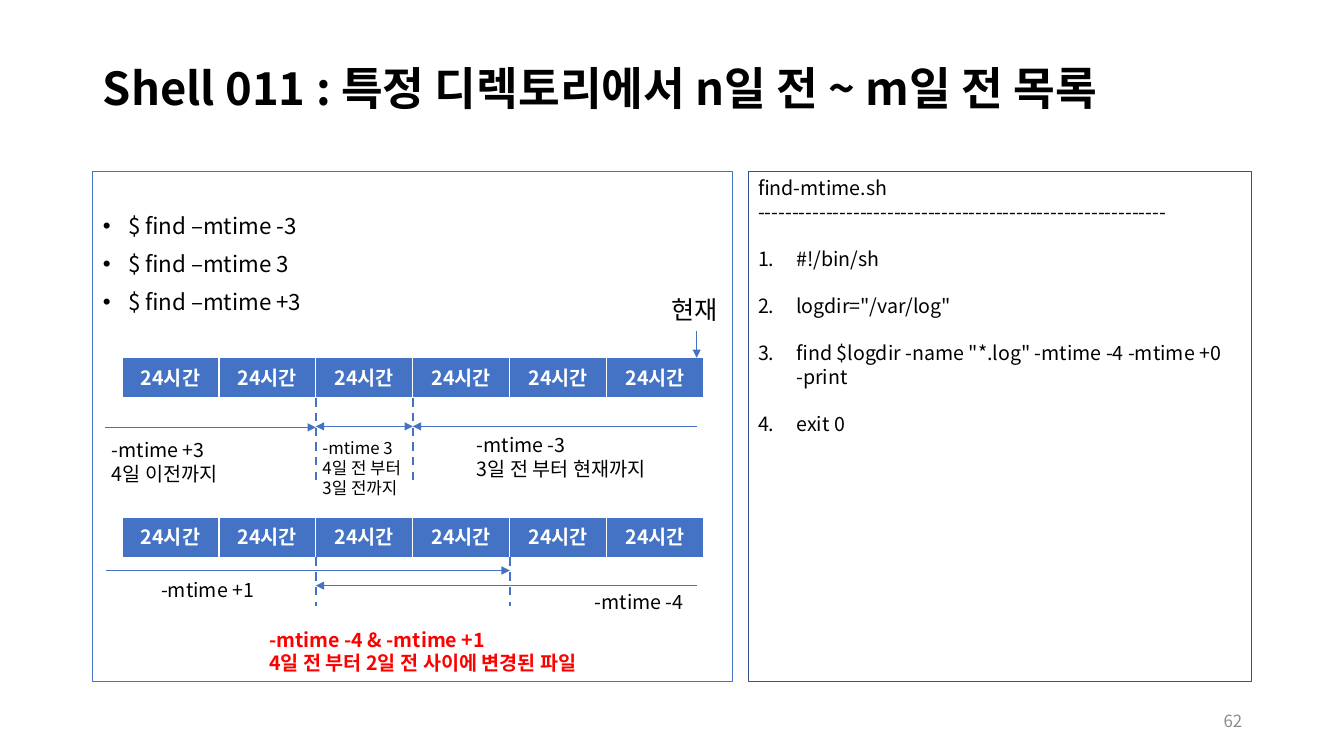
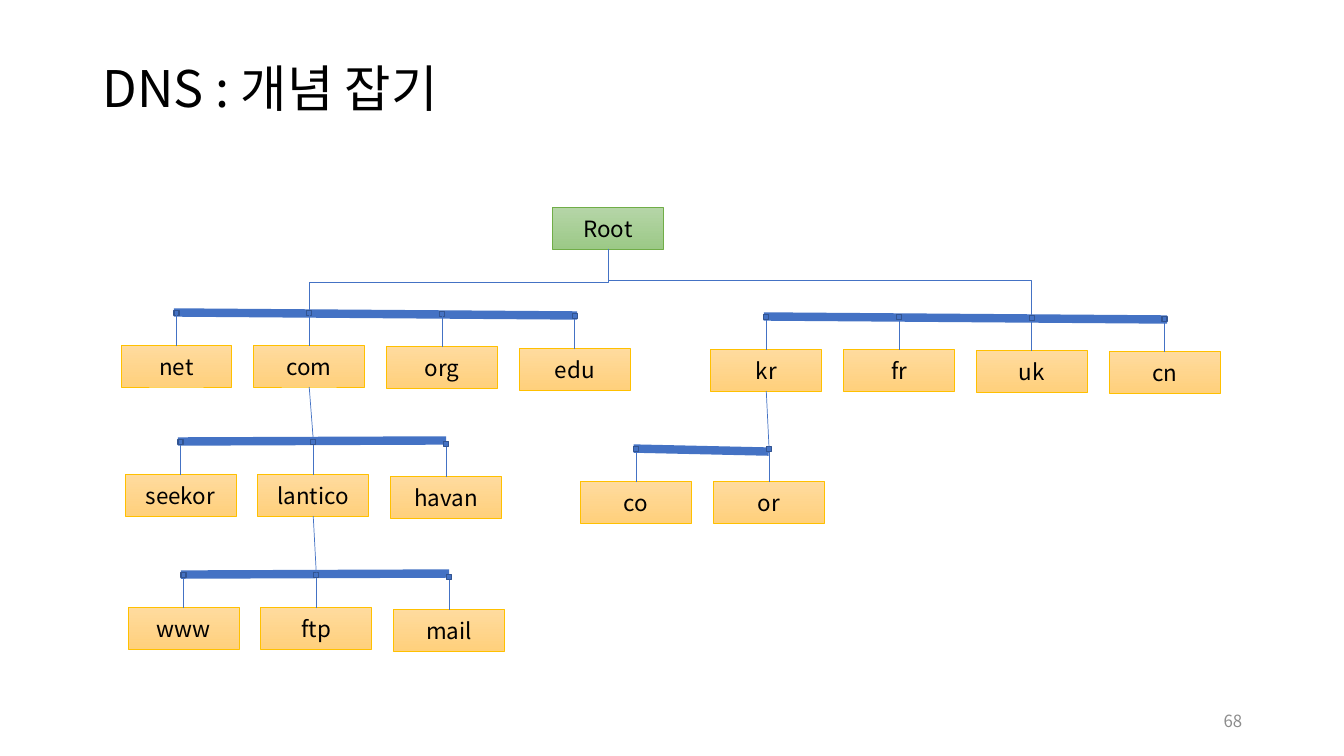
from lxml.etree import SubElement
from pptx import Presentation
from pptx.dml.color import RGBColor
from pptx.enum.dml import MSO_LINE_DASH_STYLE as Dash
from pptx.enum.shapes import MSO_CONNECTOR as Link, MSO_SHAPE as Preset
from pptx.enum.text import MSO_ANCHOR as Anchor, MSO_AUTO_SIZE as Fit, PP_ALIGN as Align
from pptx.oxml.ns import qn
from pptx.util import Inches, Pt

FONT = "Noto Sans CJK KR"
COLORS = {
    "ink": "000000", "paper": "FFFFFF", "muted": "8C8C8C", "alert": "FF0000",
    "blue": "4472C4", "navy": "325491", "green": "70AD47", "gold": "FFC000",
}
GRADIENTS = {"green": ("B5D5A7", "9CC987"), "gold": ("FFDB9E", "FFD07C")}
TITLE_AREA = (0.92, 0.4, 11.5, 1.01)
NUMBER_AREA = (9.42, 6.95, 3, 0.4)

COMMANDS = ["$ find –mtime -3", "$ find –mtime 3", "$ find –mtime +3"]
SCRIPT_HEAD = ["find-mtime.sh", "-" * 60]
SCRIPT_STEPS = [
    "#!/bin/sh",
    'logdir="/var/log"',
    'find $logdir -name "*.log" -mtime -4 -mtime +0 -print',
    "exit 0",
]
PANEL_TOP, PANEL_HEIGHT = 1.7, 5.06
STRIP_LEFT, STRIP_WIDTH, STRIP_HEIGHT, DAYS = 1.21, 5.77, 0.41, 6
STRIP_TOPS = (3.55, 5.13)
NOW = 6.91


def day_edge(day):
    return STRIP_LEFT + STRIP_WIDTH * day / DAYS


DASHES = [(3, 3.95, 4.82), (2, 3.95, 4.82), (4, 5.53, 6.01), (2, 5.53, 6.01)]
ARROWS = [
    ((NOW, 3.28), (NOW, 3.55), False),
    ((NOW, 4.23), (day_edge(3), 4.23), False),
    ((day_edge(2), 4.23), (day_edge(3), 4.23), True),
    ((1.04, 4.24), (day_edge(2), 4.24), False),
    ((NOW, 5.81), (day_edge(2), 5.81), False),
    ((1.05, 5.66), (day_edge(4), 5.66), False),
]
LABELS = [
    ((6.56, 2.87, 0.71, 0.4), 18, "ink", ["현재"]),
    ((4.63, 4.25, 2.09, 0.57), 14, "ink", ["-mtime -3", "3일 전 부터 현재까지"]),
    ((3.1, 4.29, 1.09, 0.71), 12, "ink", ["-mtime 3", "4일 전 부터", "3일 전까지"]),
    ((1.01, 4.3, 1.36, 0.57), 14, "ink", ["-mtime +3", "4일 이전까지"]),
    ((5.8, 5.8, 1.11, 0.34), 14, "ink", ["-mtime -4"]),
    ((1.5, 5.68, 1.17, 0.34), 14, "ink", ["-mtime +1"]),
    ((2.57, 6.18, 3.65, 0.57), 14, "alert",
     ["-mtime -4 & -mtime +1", "4일 전 부터 2일 전 사이에 변경된 파일"]),
]

NODE_WIDTH, NODE_HEIGHT, NODE_STEP = 1.1, 0.41, 1.317
KNOB, KNOB_RISE = 0.05, 0.35
BRANCHES = [
    {"left": 1.2, "bar": (3.1, 3.13), "reach": 4,
     "nodes": [("net", 3.43), ("com", 3.43), ("org", 3.44), ("edu", 3.46)]},
    {"left": 7.05, "bar": (3.14, 3.17), "reach": 4,
     "nodes": [("kr", 3.47), ("fr", 3.47), ("uk", 3.48), ("cn", 3.49)]},
    {"left": 1.24, "bar": (4.38, 4.37), "reach": 2.66,
     "nodes": [("seekor", 4.71), ("lantico", 4.71), ("havan", 4.73)]},
    {"left": 1.27, "bar": (5.7, 5.69), "reach": 2.66,
     "nodes": [("www", 6.03), ("ftp", 6.03), ("mail", 6.05)]},
    {"left": 5.76, "bar": (4.45, 4.48), "reach": 1.34,
     "nodes": [("co", 4.78), ("or", 4.78)]},
]
TRUNKS = [("com", "lantico"), ("lantico", "ftp"), ("kr", "or")]
ROOT_LINKS = [("com", 0.54), ("uk", 0.48)]


def rgb(name):
    return RGBColor.from_string(COLORS.get(name, name))


def area(bounds):
    return [Inches(length) for length in bounds]


def place(shape, bounds):
    shape.left, shape.top, shape.width, shape.height = area(bounds)


def add_span(para, text, size, color="ink", bold=False):
    span = para.add_run()
    span.text = text
    span.font.size, span.font.bold, span.font.name = Pt(size), bold, FONT
    span.font.color.rgb = rgb(color)
    SubElement(span.font._element, qn("a:ea")).set("typeface", FONT)


def write_lines(frame, lines, size, color="ink", bold=False, align=Align.LEFT):
    paras = []
    for index, line in enumerate(lines):
        para = frame.add_paragraph() if index else frame.paragraphs[0]
        para.alignment = align
        add_span(para, line, size, color, bold)
        paras.append(para)
    return paras


def add_bullet(para, indent, tag, **settings):
    props = para._p.get_or_add_pPr()
    props.set("marL", str(Inches(indent)))
    props.set("indent", str(-Inches(indent)))
    bullet = SubElement(props, qn(tag))
    for key, value in settings.items():
        bullet.set(key, value)


def outline(shape, color, width):
    shape.line.color.rgb = rgb(color)
    shape.line.width = Pt(width)


def add_label(page, bounds, lines, size, color="ink", bold=False):
    box = page.shapes.add_textbox(*area(bounds))
    frame = box.text_frame
    frame.word_wrap = False
    frame.auto_size = Fit.SHAPE_TO_FIT_TEXT
    write_lines(frame, lines, size, color, bold)


def style_line(line, width, dash=None, heads=()):
    outline(line, "blue", width)
    if dash:
        line.line.dash_style = dash
    for head in heads:
        SubElement(line.line._get_or_add_ln(), qn(head)).set("type", "triangle")
    SubElement(line._element.spPr, qn("a:effectLst"))


def add_line(page, start, end, width, dash=None, heads=()):
    line = page.shapes.add_connector(Link.STRAIGHT, *area((*start, *end)))
    style_line(line, width, dash, heads)


def join(page, upper, lower, kind=Link.STRAIGHT):
    line = page.shapes.add_connector(kind, 0, 0, 0, 0)
    line.begin_connect(upper, 2)
    line.end_connect(lower, 0)
    style_line(line, 0.5)
    return line


def join_elbow(page, upper, lower, bend):
    line = join(page, upper, lower, Link.ELBOW)
    x1, y1, x2, y2 = line.begin_x, line.begin_y, line.end_x, line.end_y
    drop, run = y2 - y1, abs(x2 - x1)
    line.left, line.top = (x1 + x2 - drop) // 2, (y1 + y2 - run) // 2
    line.width, line.height = drop, run
    rightward = x2 > x1
    frame = line._element.spPr.find(qn("a:xfrm"))
    frame.set("rot", str((270 if rightward else 90) * 60000))
    frame.set("flipH", "1" if rightward else "0")
    adjust = line._element.spPr.find(qn("a:prstGeom")).get_or_add_avLst()
    guide = SubElement(adjust, qn("a:gd"))
    guide.set("name", "adj1")
    guide.set("fmla", f"val {round(bend * 100000)}")


def add_page(deck, layout, title, size, number, bold=False):
    page = deck.slides.add_slide(deck.slide_layouts[layout])
    heading = page.shapes.title.text_frame
    heading.auto_size, heading.vertical_anchor = Fit.NONE, Anchor.MIDDLE
    para = write_lines(heading, [title], size, bold=bold)[0]
    para.line_spacing = 0.9
    footer = page.shapes.add_textbox(*area(NUMBER_AREA)).text_frame
    footer.word_wrap, footer.vertical_anchor = True, Anchor.MIDDLE
    write_lines(footer, [number], 12, "muted", align=Align.RIGHT)
    return page


def add_strip(page, top):
    bounds = area((STRIP_LEFT, top, STRIP_WIDTH, STRIP_HEIGHT))
    table = page.shapes.add_table(1, DAYS, *bounds).table
    for cell in table.iter_cells():
        props = cell._tc.get_or_add_tcPr()
        for side, width in (("L", 1), ("R", 1), ("T", 1), ("B", 3)):
            border = SubElement(props, qn(f"a:ln{side}"))
            border.set("w", str(Pt(width)))
            fill = SubElement(border, qn("a:solidFill"))
            SubElement(fill, qn("a:srgbClr")).set("val", COLORS["paper"])
        cell.fill.solid()
        cell.fill.fore_color.rgb = rgb("blue")
        write_lines(cell.text_frame, ["24시간"], 14, "paper", True, Align.CENTER)


def add_node(page, left, top, name, color):
    node = page.shapes.add_shape(Preset.RECTANGLE, *area((left, top, NODE_WIDTH, NODE_HEIGHT)))
    node.shadow.inherit = False
    node.fill.gradient()
    node.fill.gradient_angle = 270
    for stop, shade in zip(node.fill.gradient_stops, GRADIENTS[color]):
        stop.color.rgb = rgb(shade)
    outline(node, color, 0.5)
    node.text_frame.vertical_anchor = Anchor.MIDDLE
    write_lines(node.text_frame, [name], 16, align=Align.CENTER)
    return node


def add_knob(page, left, top):
    knob = page.shapes.add_shape(Preset.RECTANGLE, *area((left, top, KNOB, KNOB)))
    knob.shadow.inherit = False
    knob.fill.solid()
    knob.fill.fore_color.rgb = rgb("blue")
    outline(knob, "navy", 1)
    return knob


def build_find_page(deck):
    page = add_page(deck, 1, "Shell 011 : 특정 디렉토리에서 n일 전 ~ m일 전 목록", 32.4, "62", True)
    body = page.placeholders[1]
    place(body, (0.92, PANEL_TOP, 6.35, PANEL_HEIGHT))
    outline(body, "blue", 0.75)
    body.text_frame.auto_size = Fit.NONE
    body.text_frame.margin_top = Inches(0.43)
    for index, para in enumerate(write_lines(body.text_frame, COMMANDS, 16)):
        para.line_spacing = 0.9
        para.space_before = Pt(10 if index else 0)
        add_bullet(para, 0.25, "a:buChar", char="•")

    panel = page.shapes.add_textbox(*area((7.42, PANEL_TOP, 4.99, PANEL_HEIGHT)))
    outline(panel, "navy", 0.25)
    panel.text_frame.word_wrap = True
    paras = write_lines(panel.text_frame, SCRIPT_HEAD + SCRIPT_STEPS, 14)
    for para in paras[len(SCRIPT_HEAD):]:
        para.space_before = Pt(16.8)
        add_bullet(para, 0.38, "a:buAutoNum", type="arabicPeriod")

    for top in STRIP_TOPS:
        add_strip(page, top)
    for day, top, bottom in DASHES:
        add_line(page, (day_edge(day), top), (day_edge(day), bottom), 1.5, Dash.DASH)
    for start, end, both in ARROWS:
        heads = ("a:headEnd", "a:tailEnd") if both else ("a:tailEnd",)
        add_line(page, start, end, 0.5, heads=heads)
    for bounds, size, color, lines in LABELS:
        add_label(page, bounds, lines, size, color, color == "alert")


def build_dns_page(deck):
    page = add_page(deck, 5, "DNS : 개념 잡기", 36, "68")
    root = add_node(page, 5.48, 2.06, "Root", "green")
    nodes, knobs = {}, {}
    inset = (NODE_WIDTH - KNOB) / 2
    for branch in BRANCHES:
        start = branch["left"] + inset
        first, last = branch["bar"]
        add_line(page, (start, first), (start + branch["reach"], last), 6)
        for index, (name, top) in enumerate(branch["nodes"]):
            left = branch["left"] + index * NODE_STEP
            nodes[name] = add_node(page, left, top, name, "gold")
            knobs[name] = add_knob(page, left + inset, top - KNOB_RISE)
            join(page, knobs[name], nodes[name])
    for parent, child in TRUNKS:
        join(page, nodes[parent], knobs[child])
    for child, bend in ROOT_LINKS:
        join_elbow(page, root, knobs[child], bend)


def main():
    deck = Presentation()
    deck.slide_width, deck.slide_height = Inches(13.33), Inches(7.5)
    place(deck.slide_master.placeholders[0], TITLE_AREA)
    build_find_page(deck)
    build_dns_page(deck)
    deck.save("out.pptx")


if __name__ == "__main__":
    main()
